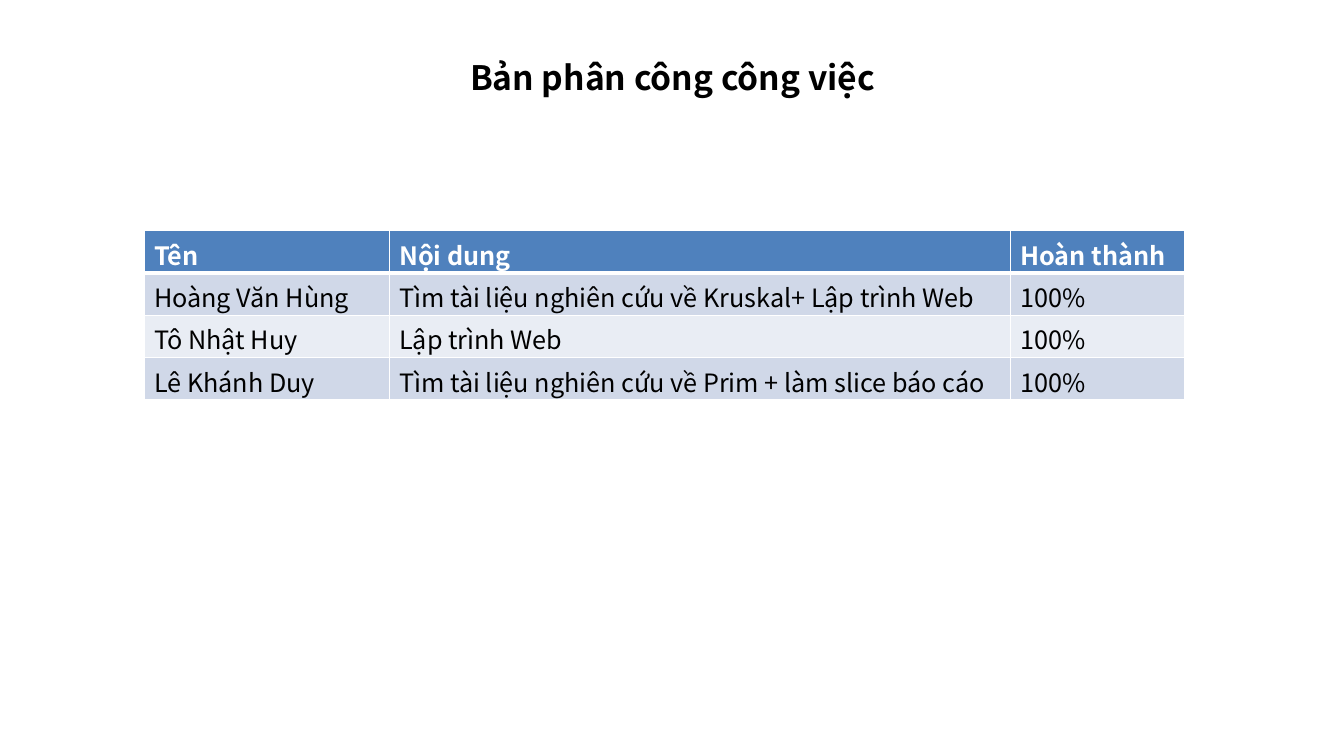
from lxml import etree
from pptx import Presentation
from pptx.dml.color import RGBColor
from pptx.enum import text
from pptx.oxml import ns
from pptx.util import Inches, Pt

FONT = "Noto Sans CJK KR"
BLACK, WHITE = "000000", "FFFFFF"
HEADER_FILL = "4F81BD"
BAND_FILLS = ["D0D8E8", "E9EDF4"]

COLUMN_WIDTHS = [2.43, 6.16, 1.73]
ROW_HEIGHT = 0.42
ASSIGNMENTS = [
    ["Tên", "Nội dung", "Hoàn thành"],
    ["Hoàng Văn Hùng", "Tìm tài liệu nghiên cứu về Kruskal+ Lập trình Web", "100%"],
    ["Tô Nhật Huy", "Lập trình Web", "100%"],
    ["Lê Khánh Duy", "Tìm tài liệu nghiên cứu về Prim + làm slice báo cáo", "100%"],
]


def color(hex_string):
    return RGBColor.from_string(hex_string)


def add_run(paragraph, words, size, hex_color, bold):
    run = paragraph.add_run()
    run.text = words
    run.font.name = FONT
    run.font.size = Pt(size)
    run.font.bold = bold
    run.font.color.rgb = color(hex_color)


def set_borders(cell, widths):
    """Draw white borders; widths maps the sides L, R, T, B to points."""
    properties = cell._tc.get_or_add_tcPr()
    for side, width in widths.items():
        line = etree.SubElement(properties, ns.qn(f"a:ln{side}"), w=str(Pt(width)))
        fill = etree.SubElement(line, ns.qn("a:solidFill"))
        etree.SubElement(fill, ns.qn("a:srgbClr"), val=WHITE)


def add_title(slide, left, top, width, height):
    title = slide.shapes.add_textbox(
        Inches(left), Inches(top), Inches(width), Inches(height)
    ).text_frame
    title.word_wrap = True
    title.auto_size = text.MSO_AUTO_SIZE.SHAPE_TO_FIT_TEXT
    heading = title.paragraphs[0]
    heading.alignment = text.PP_ALIGN.CENTER
    add_run(heading, "Bản phân công công việc", 24, BLACK, True)


def add_assignments(slide, left, top):
    table = slide.shapes.add_table(
        len(ASSIGNMENTS), len(COLUMN_WIDTHS), Inches(left), Inches(top),
        Inches(sum(COLUMN_WIDTHS)), Inches(ROW_HEIGHT * len(ASSIGNMENTS)),
    ).table
    for column, width in zip(table.columns, COLUMN_WIDTHS):
        column.width = Inches(width)
    for row_number, (row, entries) in enumerate(zip(table.rows, ASSIGNMENTS)):
        row.height = Inches(ROW_HEIGHT)
        is_header = row_number == 0
        row_fill = HEADER_FILL if is_header else BAND_FILLS[(row_number - 1) % 2]
        borders = {
            "L": 1, "R": 1,
            "T": 3 if row_number == 1 else 1,
            "B": 3 if is_header else 1,
        }
        for cell, entry in zip(row.cells, entries):
            set_borders(cell, borders)
            cell.fill.solid()
            cell.fill.fore_color.rgb = color(row_fill)
            add_run(cell.text_frame.paragraphs[0], entry, 18,
                    WHITE if is_header else BLACK, is_header)


def main():
    deck = Presentation()
    deck.slide_width, deck.slide_height = Inches(13.33), Inches(7.5)
    slide = deck.slides.add_slide(deck.slide_layouts[6])
    add_title(slide, 3.83, 0.52, 5.68, 0.5)
    add_assignments(slide, 1.43, 2.29)
    deck.save("out.pptx")


if __name__ == "__main__":
    main()
